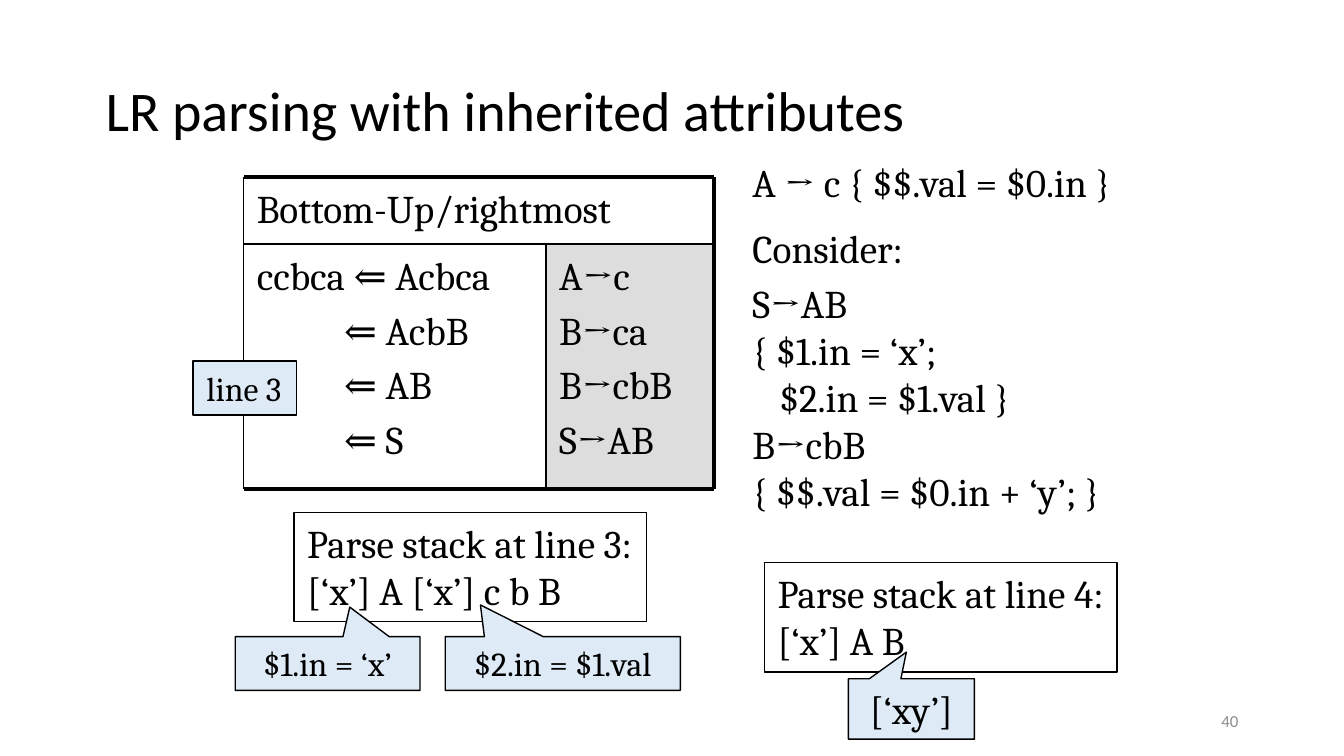
from lxml import etree
from pptx import Presentation
from pptx.dml.color import RGBColor
from pptx.enum.shapes import MSO_CONNECTOR, MSO_SHAPE
from pptx.enum.text import MSO_ANCHOR, PP_ALIGN
from pptx.oxml.ns import qn
from pptx.util import Inches, Pt

RECT = MSO_SHAPE.RECTANGLE
CALL = MSO_SHAPE.RECTANGULAR_CALLOUT
LINE = MSO_CONNECTOR.STRAIGHT
TOP, MID = MSO_ANCHOR.TOP, MSO_ANCHOR.MIDDLE
LEFT, RIGHT, CENTER = PP_ALIGN.LEFT, PP_ALIGN.RIGHT, PP_ALIGN.CENTER
COLS, ROWS = 160, 90
COLORS = {"ink": "000000", "mute": "8C8C8C", "gray": "DDDDDD", "blue": "DEEBF7"}
BODY = {"font": "Cambria", "size": 21, "color": "ink", "align": LEFT,
        "anchor": TOP, "wrap": True, "gap": 0, "lead": None}
HEAD = {"font": "Calibri", "size": 30, "anchor": MID, "lead": 0.9}
PAGE = {"font": "Calibri", "size": 9, "color": "mute", "align": RIGHT, "anchor": MID}
NOTE = {"size": 18, "align": CENTER, "anchor": MID}
GAP = 4.2


def tone(name):
    return RGBColor.from_string(COLORS[name])


class Board:
    """Holds the base style and the slide; lengths are grid columns and rows."""

    def __init__(self, deck):
        self.wide, self.high = deck.slide_width / COLS, deck.slide_height / ROWS
        self.shapes = deck.slides.add_slide(deck.slide_layouts[6]).shapes

    def place(self, *cells):
        return [round(cell * unit) for cell, unit in zip(cells, (self.wide, self.high) * 2)]

    def label(self, shape, lines, style):
        """Fill a shape with lines; a (text, columns) pair is an indented line."""
        look = {**BODY, **style}
        frame = shape.text_frame
        for key, value in {"word_wrap": look["wrap"], "vertical_anchor": look["anchor"]}.items():
            setattr(frame, key, value)
        for i, line in enumerate(lines):
            text, shift = line if isinstance(line, tuple) else (line, 0)
            para = frame.add_paragraph() if i else frame.paragraphs[0]
            if shift:
                para._p.get_or_add_pPr().set("marL", str(round(shift * self.wide)))
            para.text = text
            form = {"alignment": look["align"], "line_spacing": look["lead"],
                    "space_before": Pt(look["gap"] if i else 0)}
            for key, value in form.items():
                setattr(para, key, value)
            for key, value in {"name": look["font"], "size": Pt(look["size"])}.items():
                setattr(para.font, key, value)
            para.font.color.rgb = tone(look["color"])

    def text(self, spot, lines, **style):
        box = self.shapes.add_textbox(*self.place(*spot))
        self.label(box, lines, style)
        return box

    def box(self, spot, lines, fill=None, edge=0.75, tip=None, **style):
        """Add a rectangle, or a callout when tip gives where it points."""
        shape = self.shapes.add_shape(CALL if tip else RECT, *self.place(*spot))
        shape.shadow.inherit = False
        for i, value in enumerate(tip or ()):
            shape.adjustments[i] = value
        if fill:
            shape.fill.solid()
            shape.fill.fore_color.rgb = tone(fill)
        else:
            shape.fill.background()
        if edge:
            shape.line.width = Pt(edge)
            shape.line.color.rgb = tone("ink")
        else:
            shape.line.fill.background()
        self.label(shape, lines, style)

    def rule(self, ends, width):
        line = self.shapes.add_connector(LINE, *self.place(*ends))
        line.line.width = Pt(width)
        line.line.color.rgb = tone("ink")
        etree.SubElement(line._element.spPr, qn("a:effectLst"))


def main():
    deck = Presentation()
    deck.slide_width, deck.slide_height = Inches(10), Inches(5.625)
    board = Board(deck)
    board.text((11, 4.8, 138, 17.4), ["LR parsing with inherited attributes"], **HEAD)
    board.text((113, 83.4, 36, 4.8), ["40"], **PAGE)

    # Derivation grid
    west, split, east = 29, 65, 85
    north, bar, south = 21.1, 29.1, 58.2
    deep = south - bar
    board.box((split, bar, east - split, deep), ["A→c", "B→ca", "B→cbB", "S→AB"],
              fill="gray", edge=0, gap=GAP)
    steps = [(f"⇐ {form}", 10.4) for form in ("AcbB", "AB", "S")]
    board.text((west, bar, split - west, deep), ["ccbca ⇐ Acbca", *steps], gap=GAP)
    board.text((west, north, east - west, bar - north), ["Bottom-Up/rightmost"])
    for y, width in ((bar, 1), (south, 2.25), (north, 2.25)):
        board.rule((west, y, east, y), width)
    for x, y, width in ((east, north, 2.25), (split, bar, 1), (west, north, 0.75)):
        board.rule((x, y, x, south), width)

    # Grammar rules
    rules = board.text((88, 25.9, 49.5, 36.6), [
        "Consider:", "S→AB", "{ $1.in = ‘x’;", ("$2.in = $1.val }", 3.2),
        "B→cbB", "{ $$.val = $0.in + ‘y’; }"])
    rules.text_frame.paragraphs[1].space_before = Pt(GAP)

    # Parse stacks and their callouts
    for x, y, num, stack in ((35, 61, 3, "[‘x’] A [‘x’] c b B"), (91, 67, 4, "[‘x’] A B")):
        board.box((x, y, 42, 13), [f"Parse stack at line {num}:", stack], wrap=False)
    for spot, text, tip, size in (
            ((28, 75.8, 22, 6.4), "$1.in = ‘x’", (0.12, -1.05), 18),
            ((53, 75.8, 28, 6.4), "$2.in = $1.val", (-0.35, -1.09), 18),
            ((101, 80.8, 15, 7.2), "[‘xy’]", (-0.04, -0.94), 21)):
        board.box(spot, [text], fill="blue", tip=tip, **{**NOTE, "size": size})
    board.box((23, 43, 12.3, 6.4), ["line 3"], fill="blue", size=18, wrap=False)
    board.text((88, 18.1, 49.5, 7.2), ["A → c { $$.val = $0.in }"])
    deck.save("out.pptx")


if __name__ == "__main__":
    main()
